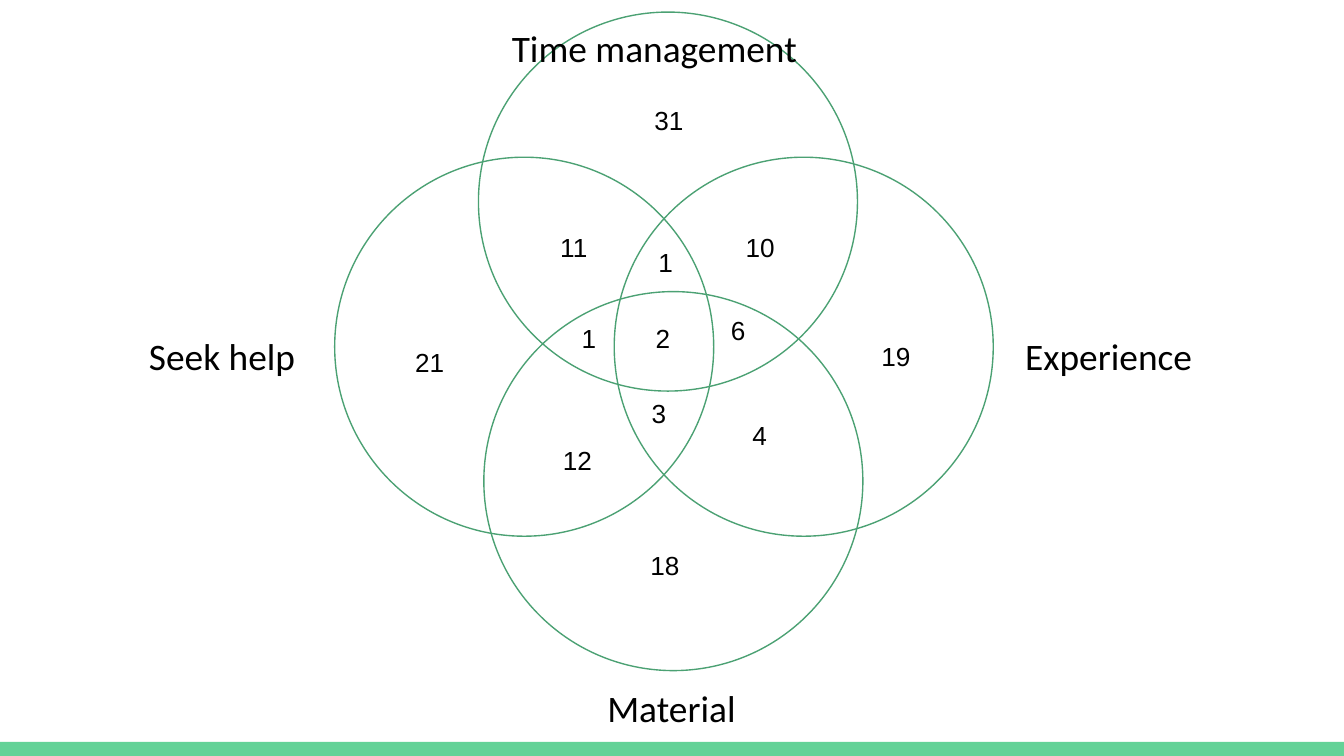
import pptx
import pptx.util
import pptx.dml.color
import pptx.enum.shapes
import pptx.enum.text

GREEN = pptx.dml.color.RGBColor(0x63, 0xD2, 0x97)
OUTLINE = pptx.dml.color.RGBColor(0x4B, 0xA1, 0x73)
BLACK = pptx.dml.color.RGBColor(0x00, 0x00, 0x00)

COLUMNS = 100
ROWS = COLUMNS * 9 / 16
BAND_HEIGHT = 1.05
DIAMETER = 28.2
LABEL_FONT = {"name": "Calibri", "size": pptx.util.Pt(20)}
COUNT_FONT = {"name": "Arial", "size": pptx.util.Pt(14)}

CIRCLES = [(35.6, 0.9), (24.9, 11.7), (45.7, 11.7), (36, 21.7)]
LABELS = [
    ("Seek help", 10.1, 23.8, 18.2),
    ("Time management", 37.1, 0.9, 25.7),
    ("Material", 44.2, 50, 12.8),
    ("Experience", 75.3, 23.8, 25.7),
]
COUNTS = [
    ("21", 29.9, 24.8, 7.5),
    ("19", 64.6, 24.3, 7.5),
    ("18", 47.4, 39.9, 7.5),
    ("4", 55, 30.2, 4.6),
    ("3", 47.5, 28.6, 5.6),
    ("12", 40.9, 32.1, 4.6),
    ("11", 40.7, 16.2, 5.2),
    ("1", 48, 17.3, 5.2),
    ("1", 42.3, 23, 7.5),
    ("2", 47.8, 23, 5.6),
    ("31", 47.7, 6.8, 5.2),
    ("10", 54.5, 16.2, 5.6),
    ("6", 53.4, 22.4, 4.6),
]


class VennSlide:
    """Draws styled elements on one slide, placed on a grid of square cells."""

    def __init__(self, prs):
        self.s = prs.slides.add_slide(prs.slide_layouts[6])
        self.cell = prs.slide_width / COLUMNS

    def grid(self, *cells):
        return [round(n * self.cell) for n in cells]

    def shape(self, kind, *box):
        sp = self.s.shapes.add_shape(kind, *self.grid(*box))
        sp.shadow.inherit = False
        return sp

    def band(self, *box):
        sp = self.shape(pptx.enum.shapes.MSO_SHAPE.RECTANGLE, *box)
        sp.fill.solid()
        sp.fill.fore_color.rgb = GREEN
        sp.line.fill.background()

    def circle(self, left, top):
        sp = self.shape(pptx.enum.shapes.MSO_SHAPE.OVAL, left, top, DIAMETER, DIAMETER)
        sp.fill.background()
        sp.line.color.rgb = OUTLINE
        sp.line.width = pptx.util.Pt(0.75)

    def text(self, words, left, top, width, height, font):
        tf = self.s.shapes.add_textbox(*self.grid(left, top, width, height)).text_frame
        inset = pptx.util.Inches(0.1)
        frame = {
            "word_wrap": True,
            "auto_size": pptx.enum.text.MSO_AUTO_SIZE.SHAPE_TO_FIT_TEXT,
            "margin_left": inset,
            "margin_top": inset,
            "margin_right": inset,
            "margin_bottom": inset,
        }
        for key, value in frame.items():
            setattr(tf, key, value)
        r = tf.paragraphs[0].add_run()
        r.text = words
        for key, value in font.items():
            setattr(r.font, key, value)
        r.font.color.rgb = BLACK


def main():
    prs = pptx.Presentation()
    prs.slide_width = pptx.util.Inches(10)
    prs.slide_height = prs.slide_width * 9 // 16
    venn = VennSlide(prs)
    venn.band(0, ROWS - BAND_HEIGHT, COLUMNS, BAND_HEIGHT)
    for left, top in CIRCLES:
        venn.circle(left, top)
    for entries, height, font in ((LABELS, 5.4, LABEL_FONT), (COUNTS, 4.4, COUNT_FONT)):
        for words, left, top, width in entries:
            venn.text(words, left, top, width, height, font)
    prs.save("out.pptx")


if __name__ == "__main__":
    main()
